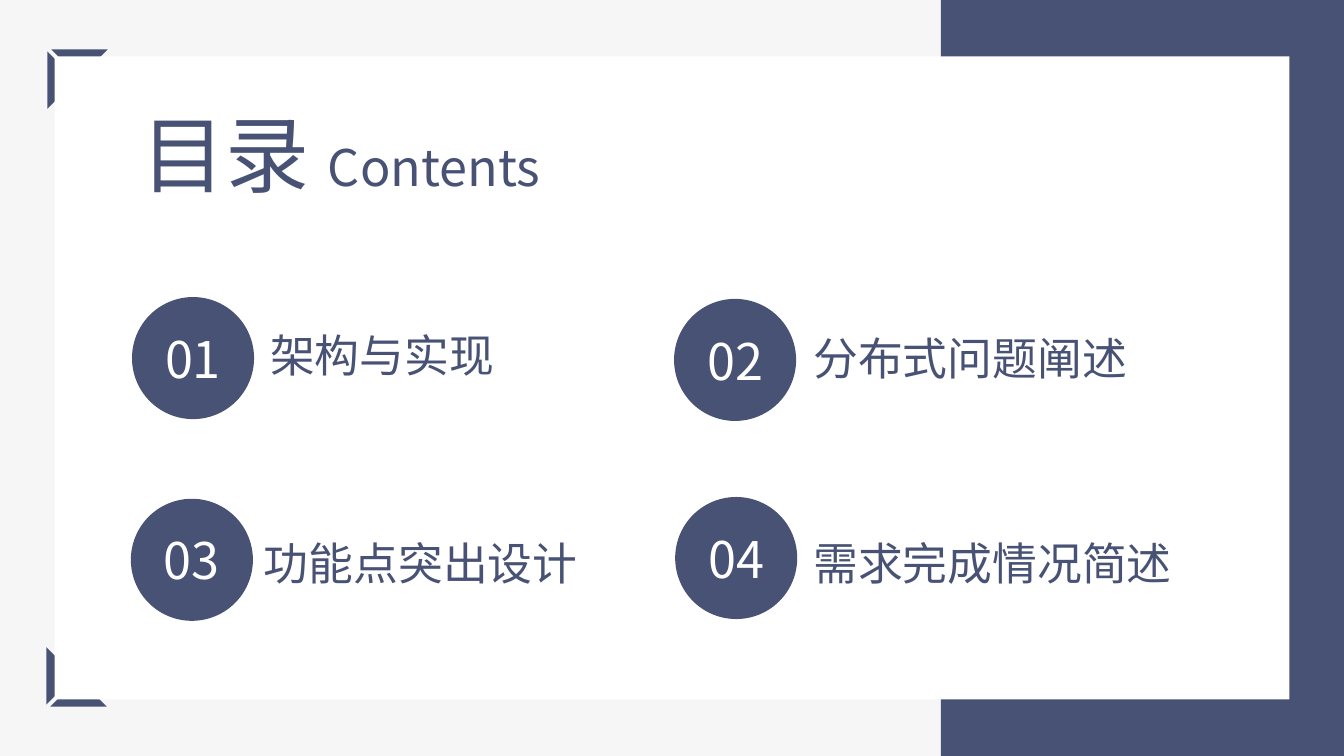
from dataclasses import dataclass
from lxml.etree import SubElement
from pptx import Presentation
from pptx.dml.color import RGBColor
from pptx.enum.shapes import MSO_SHAPE
from pptx.enum.text import MSO_ANCHOR, MSO_AUTO_SIZE, PP_ALIGN
from pptx.oxml.ns import qn
from pptx.util import Pt


@dataclass
class Theme:
    navy: RGBColor = RGBColor(0x48, 0x52, 0x75)
    white: RGBColor = RGBColor(0xFF, 0xFF, 0xFF)
    grey: RGBColor = RGBColor(0xF6, 0xF6, 0xF6)
    font: str = "Noto Sans CJK SC"
    head: int = 60
    sub: int = 36
    label: int = 32


theme = Theme()


def write(frame, text, size, color=theme.navy, align=PP_ALIGN.LEFT,
          anchor=MSO_ANCHOR.TOP, wrap=True):
    frame.word_wrap = wrap
    frame.auto_size = MSO_AUTO_SIZE.NONE
    frame.vertical_anchor = anchor
    line = frame.paragraphs[0]
    line.alignment = align
    run = line.add_run()
    run.text = text
    run.font.size = Pt(size)
    run.font.name = theme.font
    run.font.color.rgb = color
    SubElement(run.font._element, qn("a:ea"), typeface=theme.font)


def paint(shape, color):
    shape.shadow.inherit = False
    shape.fill.solid()
    shape.fill.fore_color.rgb = color
    shape.line.fill.background()
    return shape


deck = Presentation()
deck.slide_width, deck.slide_height = Pt(960), Pt(540)
slide = deck.slides.add_slide(deck.slide_layouts[5])
slide.background.fill.solid()
slide.background.fill.fore_color.rgb = theme.grey
shapes = slide.shapes

side = [(43.2, 202.3), (43.2, 223.2), (33.1, 233.3), (33.1, 192.2)]
edge = [(76.3, 234.7), (36, 234.7), (46.1, 224.6), (66.2, 224.6)]
for sign, shift in ((1, 0), (-1, 0.7)):
    parts = [[(Pt(x + shift), Pt(270 + sign * y)) for x, y in part]
             for part in (side, edge)]
    pen = shapes.build_freeform(*parts[0][0], scale=1.0)
    pen.add_line_segments(parts[0][1:], close=True)
    pen.move_to(*parts[1][0])
    pen.add_line_segments(parts[1][1:], close=True)
    paint(pen.convert_to_shape(), theme.navy)

for box, color in (((672, 0, 288, 540), theme.navy),
                   ((39, 40.3, 882, 459.3), theme.white)):
    paint(shapes.add_shape(MSO_SHAPE.RECTANGLE, *map(Pt, box)), color)

title = shapes.title
title.left, title.top, title.width, title.height = map(Pt, (93.6, 69.8, 324, 80))
write(title.text_frame, "目录 ", theme.head)
write(title.text_frame, "Contents", theme.sub)
shapes._spTree.append(title._element)

items = [
    ("架构与实现", (94.3, 212.2), (185.8, 230.4)),
    ("分布式问题阐述", (481.5, 213.5), (573.8, 232.6)),
    ("功能点突出设计", (93.5, 356.3), (181.4, 379.4)),
    ("需求完成情况简述", (482.3, 355), (573.8, 379.4)),
]
for count, (name, spot, place) in enumerate(items, 1):
    disc = shapes.add_shape(MSO_SHAPE.OVAL, *map(Pt, (*spot, 87.2, 87.2)))
    paint(disc, theme.navy)
    write(disc.text_frame, f"{count:02}", theme.sub, color=theme.white,
          align=PP_ALIGN.CENTER, anchor=MSO_ANCHOR.MIDDLE, wrap=False)
    label = shapes.add_textbox(*map(Pt, (*place, 290, 46)))
    write(label.text_frame, name, theme.label)

deck.save("out.pptx")
